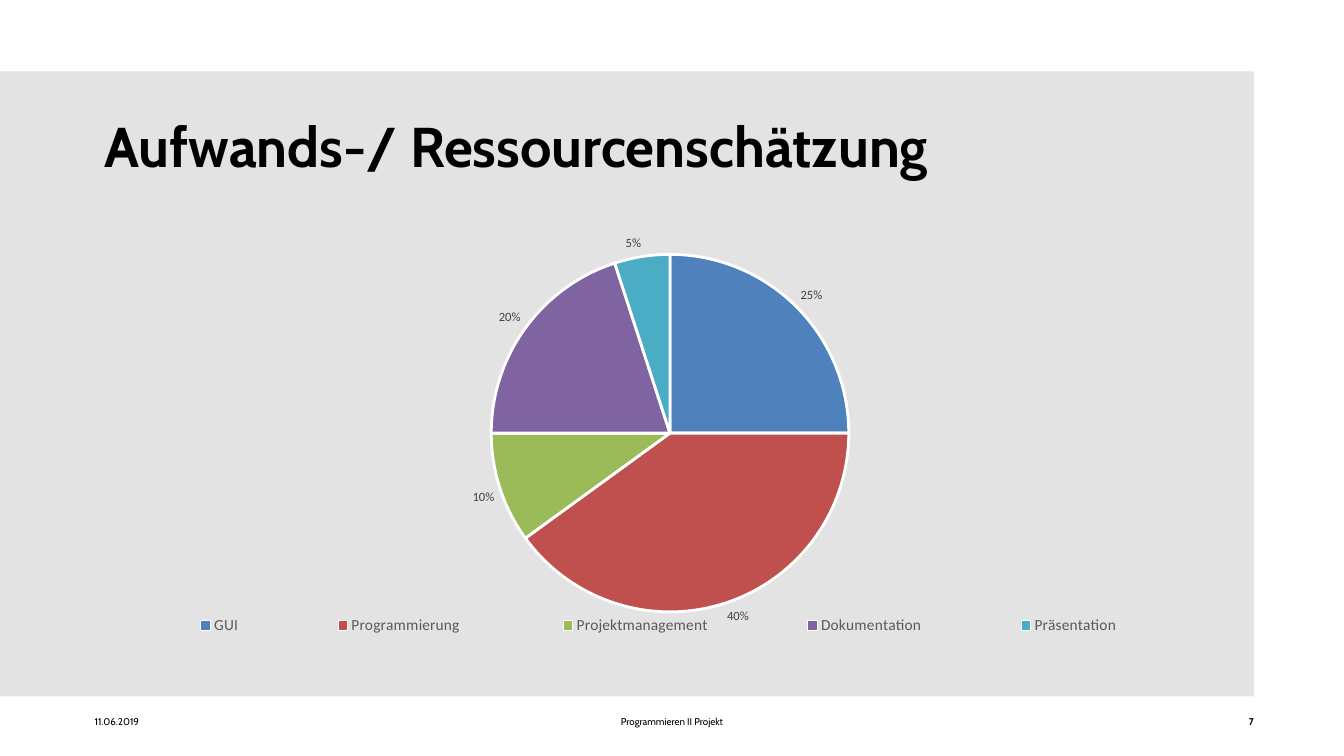
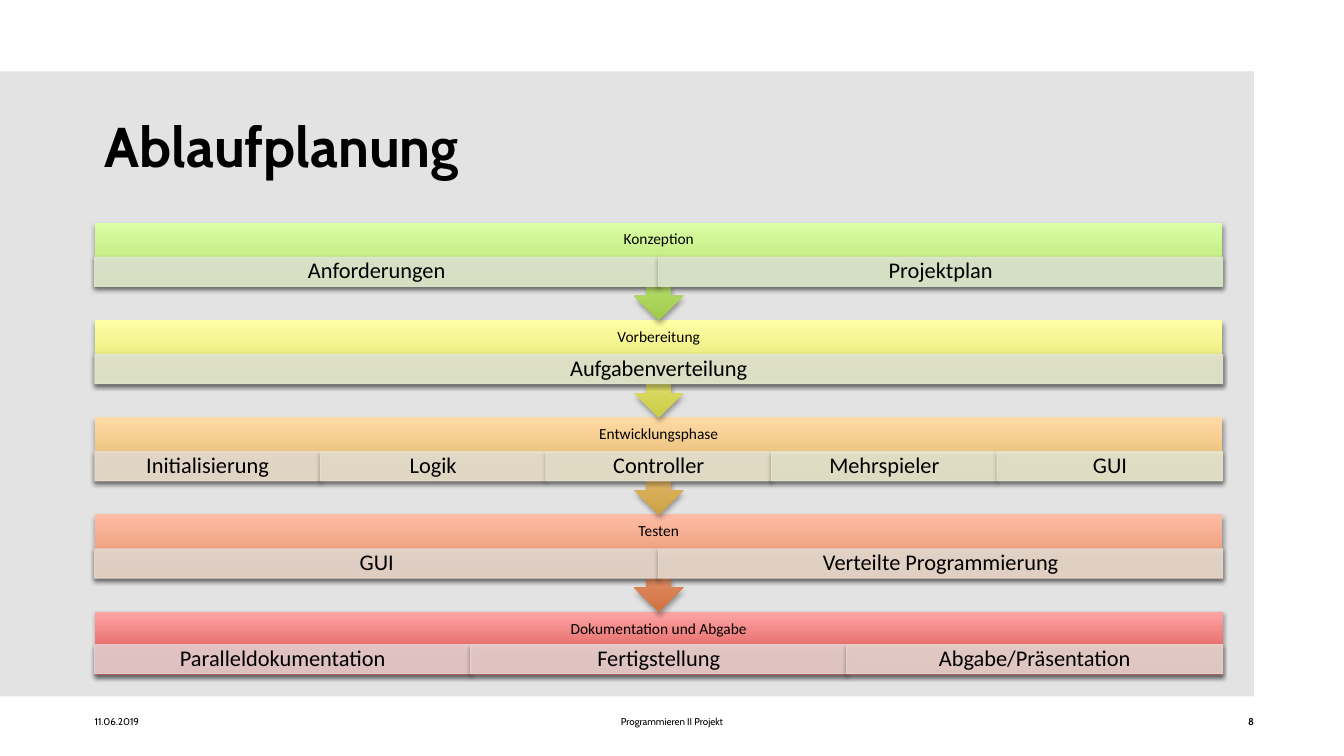
from lxml.etree import SubElement as Sub
from pptx import Presentation as Deck
from pptx.chart.data import CategoryChartData as Data
from pptx.dml.color import RGBColor as Rgb
from pptx.enum.chart import XL_CHART_TYPE as Kind, XL_LABEL_POSITION as Spot
from pptx.enum.chart import XL_LEGEND_POSITION as Side
from pptx.enum.shapes import MSO_SHAPE as Geo
from pptx.enum.text import MSO_ANCHOR as Anchor, MSO_AUTO_SIZE as Auto, PP_ALIGN as Align
from pptx.oxml.ns import qn
from pptx.util import Pt

COL = {
    "ink": "000000", "paper": "FFFFFF", "panel": "E3E3E3",
    "legend": "595959", "label": "404040",
    "pie": ["4F81BD", "C0504D", "9BBB59", "8064A2", "4BACC6"],
    "dark": ["A0CA4A", "CBCC47", "CDA143", "CF723F", "D1403C"],
    "light": ["DAFFA5", "FFFFA5", "FFDAA5", "FFBCA5", "FFA6A5"],
    "tile": [["E1E7D1", "DEE7D1"], ["E3E7D1"],
             ["E8DED1", "E8E1D1", "E8E4D1", "E7E6D1", "E6E7D1"],
             ["E8D9D0", "E8DCD0"], ["E8D0D0", "E8D3D0", "E8D6D0"]],
}
FMT = {
    "title": {"name": "Cabin", "size": Pt(40), "bold": True},
    "foot": {"name": "Cabin", "size": Pt(7), "bold": False},
    "page": {"name": "Cabin", "size": Pt(7), "bold": True},
    "chart": {"name": "Calibri", "size": Pt(10)},
    "legend": {"name": "Calibri", "size": Pt(11)},
    "label": {"name": "Calibri", "size": Pt(9)},
    "stage": {"name": "Calibri", "size": Pt(11)},
    "tile": {"name": "Calibri", "size": Pt(16)},
}
MAIN = (67.7, 159.1, 805.7, 323.3)
SHARES = {"GUI": 0.25, "Programmierung ": 0.4, "Projektmanagement": 0.1,
          "Dokumentation": 0.2, "Präsentation": 0.05}
STAGES = [
    ("Konzeption", ["Anforderungen", "Projektplan"]),
    ("Vorbereitung", ["Aufgabenverteilung"]),
    ("Entwicklungsphase",
     ["Initialisierung", "Logik", "Controller", "Mehrspieler", "GUI"]),
    ("Testen", ["GUI", "Verteilte Programmierung"]),
    ("Dokumentation und Abgabe",
     ["Paralleldokumentation", "Fertigstellung", "Abgabe/Präsentation"]),
]


def style(font, key, color="ink"):
    for name, val in FMT[key].items():
        setattr(font, name, val)
    font.color.rgb = Rgb.from_string(COL[color])


def write(shape, text, key, align, pad=(0, 0, 0, 0)):
    frame = shape.text_frame
    sides = ("margin_left", "margin_top", "margin_right", "margin_bottom")
    form = {"word_wrap": True, "auto_size": Auto.NONE,
            "vertical_anchor": Anchor.MIDDLE, **dict(zip(sides, map(Pt, pad)))}
    for name, val in form.items():
        setattr(frame, name, val)
    para = frame.paragraphs[0]
    para.alignment = align
    run = para.add_run()
    run.text = text
    style(run.font, key)
    return para


def block(slide, geo, box):
    shape = slide.shapes.add_shape(geo, *map(Pt, box))
    shape.shadow.inherit = False
    shape.line.fill.background()
    return shape


def shade(shape):
    fx = shape._element.spPr.find(qn("a:effectLst"))
    drop = Sub(fx, qn("a:outerShdw"), blurRad=str(Pt(3.1)), dist=str(Pt(1.8)),
               dir="5400000", rotWithShape="0")
    tone = Sub(drop, qn("a:srgbClr"), val=COL["ink"])
    Sub(tone, qn("a:alpha"), val="35000")


# Panel, title and footer of every slide
def base(deck, title, page):
    slide = deck.slides.add_slide(deck.slide_layouts[5])
    panel = block(slide, Geo.RECTANGLE, (0, 51, 895.7, 446.4))
    panel.fill.solid()
    panel.fill.fore_color.rgb = Rgb.from_string(COL["panel"])
    slide.shapes._spTree.insert(2, panel._element)

    head = slide.shapes.title
    head.left, head.top, head.width, head.height = map(Pt, (67.7, 59, 805.7, 90))
    write(head, title, "title", Align.LEFT, (7.2, 3.6, 7.2, 3.6))

    for text, left, width, key, align in (
            ("11.06.2019", 67.7, 224, "foot", Align.LEFT),
            ("Programmieren II Projekt", 318, 324, "foot", Align.CENTER),
            (str(page), 671.7, 224, "page", Align.RIGHT)):
        note = slide.shapes.add_textbox(Pt(left), Pt(511), Pt(width), Pt(9))
        write(note, text, key, align)
    return slide


def place(node, spot, inner=False):
    """Fix the layout of a chart part, in shares of the chart area."""
    old = node.find(qn("c:layout"))
    if old is None:
        old = Sub(node, qn("c:layout"))
        # The layout follows the legend position, or leads the plot area
        node.insert(0 if inner else 1, old)
    man = Sub(old, qn("c:manualLayout"))
    if inner:
        Sub(man, qn("c:layoutTarget"), val="inner")
    for name in ("xMode", "yMode"):
        Sub(man, qn("c:" + name), val="edge")
    for name, val in zip("xywh", spot):
        Sub(man, qn("c:" + name), val=str(val))


# Pie chart with legend
def pie(slide, box):
    data = Data(number_format="0%")
    data.categories = list(SHARES)
    data.add_series("Series 1", list(SHARES.values()))
    chart = slide.shapes.add_chart(Kind.PIE, *map(Pt, box), data).chart
    chart.has_title = False
    style(chart.font, "chart")

    plot = chart.plots[0]
    plot.vary_by_categories = True
    for i, hue in enumerate(COL["pie"]):
        form = plot.series[0].points[i].format
        form.fill.solid()
        form.fill.fore_color.rgb = Rgb.from_string(hue)
        form.line.color.rgb = Rgb.from_string(COL["paper"])
        form.line.width = Pt(2)

    plot.has_data_labels = True
    tags = plot.data_labels
    for name, val in {"show_value": True, "show_percentage": False,
                      "number_format": "0%", "number_format_is_linked": False,
                      "position": Spot.OUTSIDE_END}.items():
        setattr(tags, name, val)
    style(tags.font, "label", "label")

    chart.has_legend = True
    key = chart.legend
    key.position = Side.BOTTOM
    key.include_in_layout = False
    style(key.font, "legend", "legend")
    area = chart._chartSpace.chart.plotArea
    place(area, (0.35, 0.07, 0.32, 0.79), inner=True)
    place(key._element, (0.01, 0.85, 0.98, 0.08))


# One step of a stage
def tile(slide, box, text, hue):
    shape = block(slide, Geo.RECTANGLE, box)
    shape.fill.solid()
    shape.line.width = Pt(0.75)
    for tone in (shape.fill.fore_color, shape.line.color):
        tone.rgb = Rgb.from_string(hue)
    for node in shape._element.spPr.iter(qn("a:srgbClr")):
        Sub(node, qn("a:alpha"), val="90000")
    shade(shape)
    para = write(shape, text, "tile", Align.CENTER, (8.6, 1.4, 8.6, 1.4))
    para.line_spacing = 0.9


# One stage: band with heading, and a row of steps
def stage(slide, box, i, last):
    left, top, width, high = box
    name, steps = STAGES[i]
    geo = Geo.RECTANGLE if last else Geo.DOWN_ARROW_CALLOUT
    band = block(slide, geo, box)
    band.fill.gradient()
    band.fill.gradient_angle = 90
    for stop, tone, pos in zip(band.fill.gradient_stops, ("dark", "light"), (0, 1)):
        stop.color.rgb = Rgb.from_string(COL[tone][i])
        stop.position = pos
    shade(band)
    para = write(band, name, "stage", Align.CENTER, (6.5, 0, 6.5, 20.8))
    para.line_spacing = 0.9

    part = width / len(steps)
    drop = 23.4 if last else 24.5
    for j, (text, hue) in enumerate(zip(steps, COL["tile"][i])):
        tile(slide, (left + j * part, top + drop, part, 20.9), text, hue)


# Stages from top to bottom, the upper ones lying in front
def flow(slide, box):
    left, top, width, high = box
    end = len(STAGES) - 1
    low = 45.4
    pitch = (high - low) / end
    for i in reversed(range(end + 1)):
        last = i == end
        size = low if last else pitch + 0.3
        stage(slide, (left, top + i * pitch, width, size), i, last)


def main():
    deck = Deck()
    deck.slide_width, deck.slide_height = Pt(960), Pt(540)
    pie(base(deck, "Aufwands-/ Ressourcenschätzung", 7), MAIN)
    flow(base(deck, "Ablaufplanung", 8), MAIN)
    deck.save("out.pptx")


if __name__ == "__main__":
    main()
